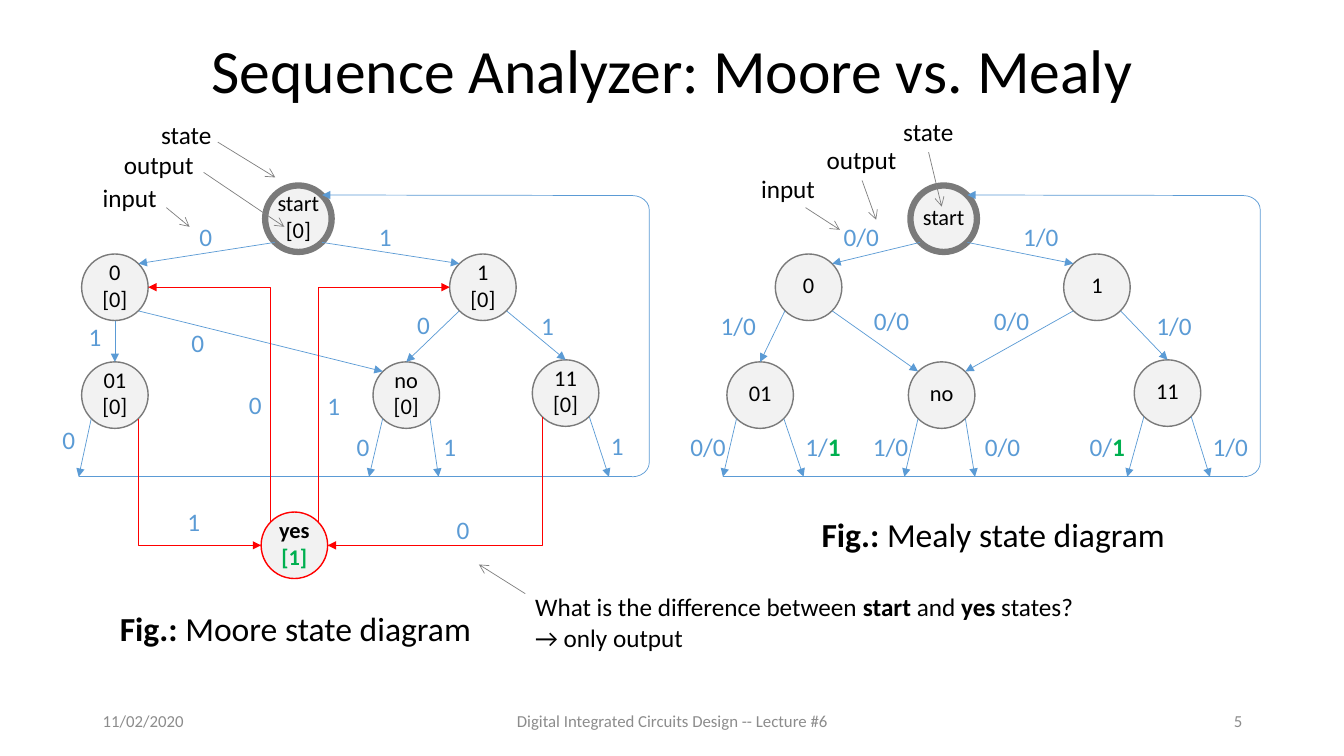
from dataclasses import dataclass, field
from typing import NamedTuple

from pptx import Presentation
from pptx import util as u
from pptx.dml.color import RGBColor
from pptx.enum import shapes, text
from pptx.oxml import ns, xmlchemy

COLORS = {"black": "000000", "grey": "8C8C8C", "ring": "7A7A7A", "node": "F2F2F2",
          "blue": "5B9BD5", "red": "FF0000", "green": "00B050", "pointer": "808080"}
# A text part that starts with one of these marks takes the given format.
MARKS = {"*": {"bold": True}, "#": {"bold": True, "color": "green"}}
LEFT, CENTER, RIGHT = text.PP_ALIGN.LEFT, text.PP_ALIGN.CENTER, text.PP_ALIGN.RIGHT
RADIUS, DIAGONAL = 0.33, 0.235
BUS_Y, RETURN_Y, BRACKET_W = 4.73, 1.94, 0.17
SITES = {"n": (0, -RADIUS), "s": (0, RADIUS), "w": (-RADIUS, 0), "e": (RADIUS, 0),
         "nw": (-DIAGONAL, -DIAGONAL), "ne": (DIAGONAL, -DIAGONAL),
         "sw": (-DIAGONAL, DIAGONAL), "se": (DIAGONAL, DIAGONAL)}


class Point(NamedTuple):
    """A place on the slide in inches."""
    x: float
    y: float


class State(NamedTuple):
    """A state circle: centre, lines of text and outline."""
    center: Point
    label: str
    ring: str = "ring"
    width: float = 1


class Label(NamedTuple):
    """A text box: wording, place and format."""
    wording: str
    x: float
    y: float
    w: float
    h: float = 0.4
    size: float = 18
    color: str = "black"
    align: text.PP_ALIGN = LEFT
    wrap: bool = False


class Callout(NamedTuple):
    """A label with an arrow to what it names."""
    label: Label
    start: Point
    end: Point


@dataclass
class Diagram:
    """A state diagram; links and exits name a state and a site on it."""
    states: dict[str, State]
    links: list[tuple[str, str]]
    exits: dict[str, float]
    bus: tuple[float, float]
    label_w: float
    labels: list[tuple[str, float, float]]
    feedback: list[tuple[str, str]] = field(default_factory=list)

    def site(self, name: str) -> Point:
        """Find the point for a name such as 'start.sw'."""
        state, side = name.split(".")
        c = self.states[state].center
        return Point(c.x + SITES[side][0], c.y + SITES[side][1])


def rgb(name: str) -> RGBColor:
    """Look up a colour."""
    return RGBColor.from_string(COLORS[name])


def write(tf, wording: str, size: float, color: str, align=LEFT) -> None:
    """Fill a text frame; lines are paragraphs and bars separate runs."""
    for i, line in enumerate(wording.split("\n")):
        p = tf.add_paragraph() if i else tf.paragraphs[0]
        p.alignment = align
        for part in line.split("|"):
            mark = MARKS.get(part[0], {})
            r = p.add_run()
            r.text = part[1:] if mark else part
            fmt = {"name": "Calibri", "size": u.Pt(size), "bold": mark.get("bold", False)}
            for key, value in fmt.items():
                setattr(r.font, key, value)
            r.font.color.rgb = rgb(mark.get("color", color))


def add_label(s, item: Label, anchor=text.MSO_ANCHOR.TOP) -> None:
    """Add a text box."""
    tf = s.shapes.add_textbox(*map(u.Inches, (item.x, item.y, item.w, item.h))).text_frame
    fmt = {"word_wrap": item.wrap, "vertical_anchor": anchor}
    for key, value in fmt.items():
        setattr(tf, key, value)
    write(tf, item.wording, item.size, item.color, item.align)


def add_line(s, a: Point, b: Point, color: str = "blue", head: str | None = "triangle"):
    """Add a thin straight line, with an arrowhead at b if named."""
    sp = s.shapes.add_connector(shapes.MSO_CONNECTOR.STRAIGHT, *map(u.Inches, (*a, *b)))
    sp.line.color.rgb, sp.line.width = rgb(color), u.Pt(0.5)
    if head:
        tail = xmlchemy.OxmlElement("a:tailEnd")
        tail.set("type", head)
        sp.line._get_or_add_ln().append(tail)
    sp._element.spPr.append(xmlchemy.OxmlElement("a:effectLst"))
    return sp


def add_elbow(s, a: Point, b: Point) -> None:
    """Add a red arrow that runs vertically, then horizontally."""
    dx, dy = b.x - a.x, b.y - a.y
    mid = Point((a.x + b.x) / 2, (a.y + b.y) / 2)
    half_w, half_h = abs(dy) / 2, abs(dx) / 2
    sp = add_line(s, Point(mid.x - half_w, mid.y - half_h),
                  Point(mid.x + half_w, mid.y + half_h), "red")
    spPr = sp._element.spPr
    spPr.find(ns.qn("a:prstGeom")).set("prst", "bentConnector2")
    turn = 90 if (dx > 0) != (dy > 0) else 270
    for key, value in {"rot": turn * 60000, "flipH": int(dx > 0), "flipV": int(dy < 0)}.items():
        spPr.xfrm.set(key, str(value))


def add_state(s, state: State) -> None:
    """Add a state circle with its text."""
    x, y = state.center
    sp = s.shapes.add_shape(shapes.MSO_SHAPE.OVAL, *map(
        u.Inches, (x - RADIUS, y - RADIUS, 2 * RADIUS, 2 * RADIUS)))
    sp.shadow.inherit = False
    sp.fill.solid()
    sp.fill.fore_color.rgb = rgb("node")
    sp.line.color.rgb, sp.line.width = rgb(state.ring), u.Pt(state.width)
    fmt = {"margin_left": 0, "margin_right": 0, "margin_top": 0, "margin_bottom": u.Inches(0.05),
           "vertical_anchor": text.MSO_ANCHOR.MIDDLE, "word_wrap": True}
    for key, value in fmt.items():
        setattr(sp.text_frame, key, value)
    write(sp.text_frame, state.label, 16, "black", CENTER)


def add_return(s, d: Diagram) -> None:
    """Add the bus and the path from it back to the start state."""
    left, right = d.bus
    sp = s.shapes.add_shape(shapes.MSO_SHAPE.LEFT_BRACKET, *map(
        u.Inches, (right, RETURN_Y, BRACKET_W, BUS_Y - RETURN_Y)))
    sp.adjustments[0] = 0.83
    sp._element.spPr.xfrm.set("flipH", "1")
    sp.shadow.inherit = False
    sp.fill.background()
    sp.line.color.rgb, sp.line.width = rgb("blue"), u.Pt(0.5)
    add_line(s, Point(left, BUS_Y), Point(right, BUS_Y), head=None)
    add_line(s, Point(right, RETURN_Y), d.site("start.ne"))


def add_diagram(s, d: Diagram) -> None:
    """Draw one state diagram."""
    for state in d.states.values():
        add_state(s, state)
    for a, b in d.links:
        add_line(s, d.site(a), d.site(b))
    for name, x in d.exits.items():
        add_line(s, d.site(name), Point(x, BUS_Y))
    add_return(s, d)
    for a, b in d.feedback:
        add_elbow(s, d.site(a), d.site(b))
    for wording, x, y in d.labels:
        add_label(s, Label(wording, x, y, d.label_w, color="blue"))


def make_states(places: dict[str, tuple[float, float]], output: str) -> dict[str, State]:
    """Make states that share an output line; the start state has a thick ring."""
    return {name: State(Point(*at), name + output, width=4.5 if name == "start" else 1)
            for name, at in places.items()}


LINKS = [("start.sw", "0.ne"), ("start.se", "1.nw"), ("0.se", "no.nw"), ("1.se", "11.n")]
MOORE = Diagram(
    make_states({"start": (2.96, 2.17), "0": (1.14, 2.85), "1": (4.79, 2.85), "01": (1.14, 3.92),
                 "no": (4.03, 3.92), "11": (5.61, 3.9)}, "\n[0]")
    | {"yes": State(Point(2.92, 5.41), "*yes\n#[1]", "red")},
    LINKS + [("0.s", "01.n"), ("1.sw", "no.n")],
    {"01.sw": 0.78, "no.sw": 3.66, "no.se": 4.35, "11.se": 6.04}, (0.78, 6.27), 0.33,
    [("0", 1.88, 2.15), ("1", 3.66, 2.15), ("0", 4.04, 3.02), ("1", 5.27, 3.03), ("1", 0.78, 3.14),
     ("0", 1.8, 3.2), ("0", 2.37, 3.81), ("1", 3.15, 3.82), ("0", 0.52, 4.16), ("0", 3.44, 4.23),
     ("1", 4.3, 4.23), ("1", 5.96, 4.22), ("1", 1.76, 4.97), ("0", 4.43, 5.05)],
    [("11.sw", "yes.e"), ("01.se", "yes.w"), ("yes.nw", "0.e"), ("yes.ne", "1.w")])
MEALY = Diagram(
    make_states({"start": (9.36, 2.17), "0": (8.02, 2.85), "1": (10.88, 2.85), "01": (7.54, 3.92),
                 "no": (9.34, 3.92), "11": (11.58, 3.9)}, ""),
    LINKS + [("0.sw", "01.n"), ("1.sw", "no.ne")],
    {"01.sw": 7.17, "01.se": 7.97, "no.sw": 8.97, "no.se": 9.67, "11.sw": 11.18, "11.se": 12},
    (7.17, 12.33), 0.56,
    [("0/0", 8.27, 2.15), ("1/0", 10.05, 2.15), ("0/0", 8.57, 2.98), ("0/0", 9.76, 2.98),
     ("1/0", 7.05, 3.03), ("1/0", 11.37, 3.03), ("0/0", 6.75, 4.23), ("1/|#1", 7.89, 4.23),
     ("1/0", 8.56, 4.23), ("0/0", 9.67, 4.23), ("0/|#1", 10.71, 4.23), ("1/0", 11.93, 4.23)])
CALLOUTS = [
    Callout(Label("state", 1.5, 1.13, 0.7), Point(2.16, 1.41), Point(2.73, 1.76)),
    Callout(Label("output", 1.13, 1.43, 0.9), Point(2.02, 1.71), Point(2.82, 2.25)),
    Callout(Label("input", 0.92, 1.76, 0.74), Point(1.65, 2.06), Point(1.88, 2.25)),
    Callout(Label("state", 8.86, 1.11, 0.7), Point(9.21, 1.51), Point(9.34, 2.05)),
    Callout(Label("output", 8.1, 1.38, 0.9), Point(8.55, 1.79), Point(8.69, 2.18)),
    Callout(Label("input", 7.45, 1.67, 0.74), Point(7.99, 2.06), Point(8.33, 2.28)),
    Callout(Label("What is the difference between |*start| and |*yes| states? → only output",
                  5.21, 5.82, 5.76, 0.71, wrap=True), Point(5.21, 5.89), Point(4.75, 5.6))]
CAPTIONS = [Label("*Fig.:| Moore state diagram", 1.09, 5.98, 3.71, 0.5, 24),
            Label("*Fig.:| Mealy state diagram", 8.05, 5.05, 3.64, 0.5, 24)]
FOOTER = [Label(wording, x, 6.95, w, 0.4, 12, "grey", align, True) for wording, x, w, align in (
    ("11/02/2020", 0.92, 3, LEFT), ("5", 9.42, 3, RIGHT),
    ("Digital Integrated Circuits Design -- Lecture #6", 4.42, 4.5, CENTER))]

prs = Presentation()
prs.slide_width, prs.slide_height = u.Inches(13.33), u.Inches(7.5)
s = prs.slides.add_slide(prs.slide_layouts[5])
title = s.shapes.title
for key, value in {"left": 0.92, "top": 0.33, "width": 11.5, "height": 0.79}.items():
    setattr(title, key, u.Inches(value))
title.text_frame.vertical_anchor = text.MSO_ANCHOR.MIDDLE
write(title.text_frame, "Sequence Analyzer: Moore vs. Mealy", 44, "black", CENTER)
title.text_frame.paragraphs[0].line_spacing = 0.9
for diagram in (MOORE, MEALY):
    add_diagram(s, diagram)
for callout in CALLOUTS:
    add_label(s, callout.label)
    add_line(s, callout.start, callout.end, "pointer", "arrow")
for caption in CAPTIONS:
    add_label(s, caption)
for item in FOOTER:
    add_label(s, item, text.MSO_ANCHOR.MIDDLE)
prs.save("out.pptx")
